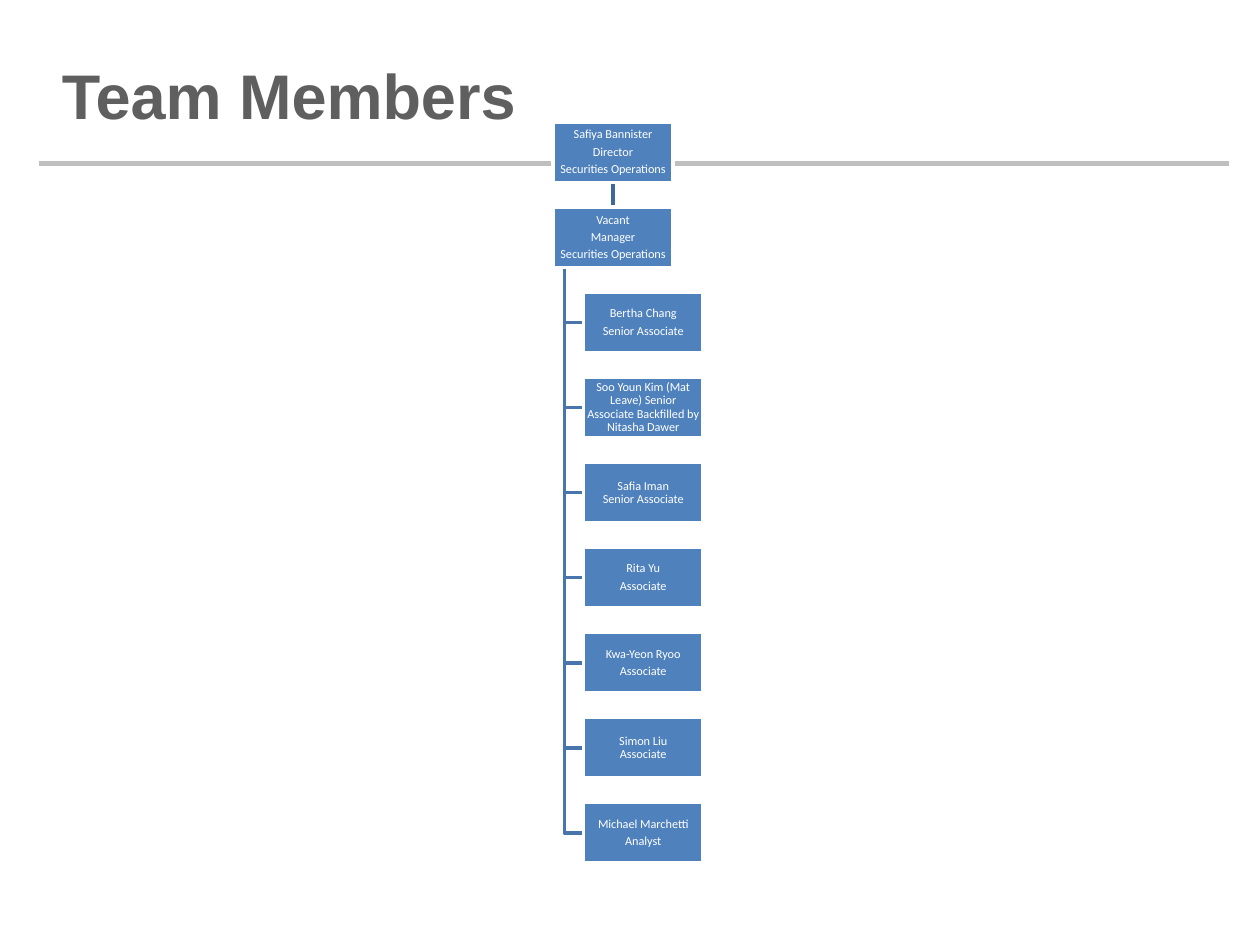
from lxml.etree import SubElement
from pptx import Presentation
from pptx.dml.color import RGBColor
from pptx.enum.shapes import MSO_CONNECTOR, MSO_SHAPE
from pptx.enum.text import MSO_ANCHOR, PP_ALIGN
from pptx.oxml.ns import qn
from pptx.util import Inches, Pt

COLORS = {
    "title": "5F5F5F",
    "rule": "BFBFBF",
    "box": "4F81BD",
    "white": "FFFFFF",
    "branch": "4875AC",
    "stem": "3F6797",
}
LEADER_LEFT, REPORT_LEFT = 4.39, 4.63
BOX_WIDTH, BOX_HEIGHT = 0.95, 0.48
FIRST_TOP, ROW_PITCH = 0.97, 0.675
TRUNK_X = 4.48

LEADERS = [
    ["Safiya Bannister", "Director", "Securities Operations"],
    ["Vacant", "Manager", "Securities Operations"],
]
REPORTS = [
    ["Bertha Chang", "Senior Associate"],
    ["Soo Youn Kim (Mat Leave) Senior\nAssociate Backfilled by Nitasha Dawer"],
    ["Safia Iman\nSenior Associate"],
    ["Rita Yu", "Associate"],
    ["Kwa-Yeon Ryoo", "Associate"],
    ["Simon Liu\nAssociate"],
    ["Michael Marchetti", "Analyst"],
]


def color(name):
    return RGBColor.from_string(COLORS[name])


def row_top(row):
    return FIRST_TOP + row * ROW_PITCH


def style_line(shape, name, width):
    shape.line.color.rgb = color(name)
    shape.line.width = Pt(width)


def add_text(paragraph, text, font, size, name, bold=False):
    for index, line in enumerate(text.split("\n")):
        if index:
            paragraph.add_line_break()
        run = paragraph.add_run()
        run.text = line
        run.font.name = font
        run.font.size = Pt(size)
        run.font.bold = bold
        run.font.color.rgb = color(name)


def add_title(slide, text):
    title = slide.shapes.title
    title.left, title.top = Inches(0.39), Inches(0.12)
    title.width, title.height = Inches(9.61), Inches(1.25)
    title.text_frame.vertical_anchor = MSO_ANCHOR.MIDDLE
    paragraph = title.text_frame.paragraphs[0]
    paragraph.alignment = PP_ALIGN.LEFT
    add_text(paragraph, text, "Arial", 36, "title", bold=True)


def add_straight(slide, start, end, name, width):
    points = [Inches(value) for value in (*start, *end)]
    line = slide.shapes.add_connector(MSO_CONNECTOR.STRAIGHT, *points)
    style_line(line, name, width)
    SubElement(line._element.spPr, qn("a:effectLst"))


def add_branch(slide, row):
    trunk, start = Inches(TRUNK_X), Inches(row_top(1) + BOX_HEIGHT)
    middle = Inches(row_top(row) + BOX_HEIGHT / 2)
    builder = slide.shapes.build_freeform(trunk, start)
    builder.add_line_segments(
        [(trunk, middle), (Inches(REPORT_LEFT), middle)], close=False
    )
    branch = builder.convert_to_shape()
    branch.fill.background()
    branch.shadow.inherit = False
    style_line(branch, "branch", 2)


def add_member(slide, left, row, lines):
    box = slide.shapes.add_shape(
        MSO_SHAPE.RECTANGLE, Inches(left), Inches(row_top(row)),
        Inches(BOX_WIDTH), Inches(BOX_HEIGHT),
    )
    box.shadow.inherit = False
    box.fill.solid()
    box.fill.fore_color.rgb = color("box")
    style_line(box, "white", 2)
    frame = box.text_frame
    frame.word_wrap = True
    frame.vertical_anchor = MSO_ANCHOR.MIDDLE
    frame.margin_left = frame.margin_right = 0
    frame.margin_top = frame.margin_bottom = 0
    for index, line in enumerate(lines):
        paragraph = frame.add_paragraph() if index else frame.paragraphs[0]
        paragraph.alignment = PP_ALIGN.CENTER
        paragraph.line_spacing = 0.9
        paragraph.space_after = Pt(2.45)
        add_text(paragraph, line, "Calibri", 7, "white")


def main():
    deck = Presentation()
    deck.slide_width, deck.slide_height = Inches(10), Inches(7.5)
    slide = deck.slides.add_slide(deck.slide_layouts[5])
    add_title(slide, "Team Members")
    add_straight(slide, (0.31, 1.3), (9.75, 1.3), "rule", 3)

    first_report = len(LEADERS)
    for row in reversed(range(first_report, first_report + len(REPORTS))):
        add_branch(slide, row)
    stem_x = LEADER_LEFT + BOX_WIDTH / 2
    add_straight(
        slide, (stem_x, row_top(0) + BOX_HEIGHT), (stem_x, row_top(1)), "stem", 2
    )

    for row, lines in enumerate(LEADERS):
        add_member(slide, LEADER_LEFT, row, lines)
    for row, lines in enumerate(REPORTS, first_report):
        add_member(slide, REPORT_LEFT, row, lines)
    deck.save("out.pptx")


if __name__ == "__main__":
    main()
